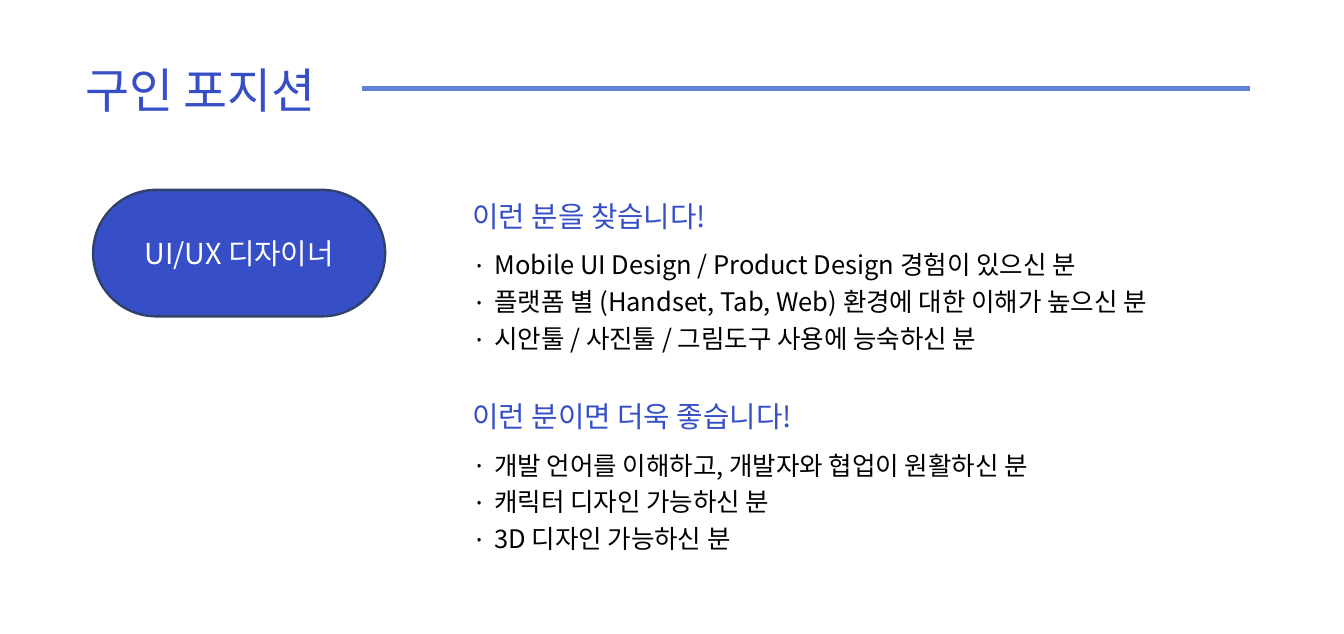
from dataclasses import dataclass

from lxml import etree
from pptx import Presentation
from pptx import util as u
from pptx.dml.color import RGBColor
from pptx.enum import shapes, text
from pptx.oxml.ns import qn


@dataclass(frozen=True)
class Theme:
    font: str = "Noto Sans CJK KR"
    accent: str = "364FC6"
    rule: str = "5E81D9"
    outline: str = "30416A"
    body: str = "000000"
    inverse: str = "FFFFFF"
    title_size: int = 30
    heading_size: int = 18
    list_size: int = 16


class PositionSlide:
    """Draws on one slide; all lengths are percentages of its size."""

    def __init__(self, deck, theme):
        self.deck, self.theme = deck, theme
        self.slide = deck.slides.add_slide(deck.slide_layouts.get_by_name("Comparison"))

    def x(self, share):
        return u.Emu(round(self.deck.slide_width * share / 100))

    def y(self, share):
        return u.Emu(round(self.deck.slide_height * share / 100))

    def box(self, left, top, width, height):
        return self.x(left), self.y(top), self.x(width), self.y(height)

    def style(self, paragraph, size, color, align=text.PP_ALIGN.LEFT, spacing=1.0):
        paragraph.alignment = align
        paragraph.line_spacing = spacing
        paragraph.space_before = u.Pt(0)
        font = paragraph.font
        font.name, font.size, font.bold = self.theme.font, u.Pt(size), False
        font.color.rgb = RGBColor.from_string(color)
        # East Asian typeface, without pair kerning
        defaults = paragraph._p.pPr.find(qn("a:defRPr"))
        defaults.set("kern", "0")
        etree.SubElement(defaults, qn("a:ea"), typeface=self.theme.font)

    def bullet(self, paragraph):
        props = paragraph._p.get_or_add_pPr()
        indent = u.Inches(0.19)
        props.set("marL", str(indent))
        props.set("indent", str(-indent))
        etree.SubElement(props, qn("a:buFont"), typeface=self.theme.font)
        etree.SubElement(props, qn("a:buChar"), char="·")

    def fill_placeholder(self, idx, area, lines, size, color, spacing=1.0, bullets=False):
        holder = self.slide.placeholders[idx]
        holder.left, holder.top, holder.width, holder.height = self.box(*area)
        frame = holder.text_frame
        frame.text = "\n".join(lines)
        frame.word_wrap = True
        frame.vertical_anchor = text.MSO_ANCHOR.TOP
        frame.auto_size = text.MSO_AUTO_SIZE.SHAPE_TO_FIT_TEXT
        for paragraph in frame.paragraphs:
            if bullets:
                self.bullet(paragraph)
            self.style(paragraph, size, color, spacing=spacing)

    def title(self, words, area):
        self.fill_placeholder(0, area, [words], self.theme.title_size, self.theme.accent)

    def section(self, idx, left, top, heading, items):
        self.fill_placeholder(idx, (left, top, 31.4, 7.8), [heading],
                              self.theme.heading_size, self.theme.accent, 1.1)
        self.fill_placeholder(idx + 1, (left, top + 7.5, 61.16, 19.2), items,
                              self.theme.list_size, self.theme.body, 1.2, bullets=True)

    def rule(self, left, right, top):
        line = self.slide.shapes.add_connector(
            shapes.MSO_CONNECTOR.STRAIGHT, self.x(left), self.y(top), self.x(right), self.y(top))
        line.line.color.rgb = RGBColor.from_string(self.theme.rule)
        line.line.width = u.Pt(3)
        etree.SubElement(line._element.spPr, qn("a:effectLst"))

    def pill(self, words, area):
        pill = self.slide.shapes.add_shape(shapes.MSO_SHAPE.ROUNDED_RECTANGLE, *self.box(*area))
        pill.adjustments[0] = 0.5
        pill.shadow.inherit = False
        pill.fill.solid()
        pill.fill.fore_color.rgb = RGBColor.from_string(self.theme.accent)
        pill.line.color.rgb = RGBColor.from_string(self.theme.outline)
        pill.line.width = u.Pt(1.5)
        frame = pill.text_frame
        frame.text = words
        frame.vertical_anchor = text.MSO_ANCHOR.MIDDLE
        self.style(frame.paragraphs[0], self.theme.heading_size, self.theme.inverse,
                   text.PP_ALIGN.CENTER)


def main():
    deck = Presentation()
    deck.slide_width, deck.slide_height = u.Cm(29.7), u.Cm(14)
    # The template's 4:3 label does not fit this size
    deck.element.sldSz.attrib.pop("type", None)
    page = PositionSlide(deck, Theme())

    # Header
    page.title("구인 포지션", (5.47, 8.6, 24.72, 10.71))
    page.rule(26.95, 92.99, 14)

    # Open role
    page.pill("UI/UX 디자이너", (6.93, 29.95, 21.73, 19.96))

    # Required and preferred experience
    text_left = 34.3
    page.section(1, text_left, 29.95, "이런 분을 찾습니다!", [
        "Mobile UI Design / Product Design 경험이 있으신 분",
        "플랫폼 별 (Handset, Tab, Web) 환경에 대한 이해가 높으신 분",
        "시안툴 / 사진툴 / 그림도구 사용에 능숙하신 분",
    ])
    page.section(3, text_left, 61.52, "이런 분이면 더욱 좋습니다!", [
        "개발 언어를 이해하고, 개발자와 협업이 원활하신 분",
        "캐릭터 디자인 가능하신 분",
        "3D 디자인 가능하신 분",
    ])

    deck.save("out.pptx")


if __name__ == "__main__":
    main()
